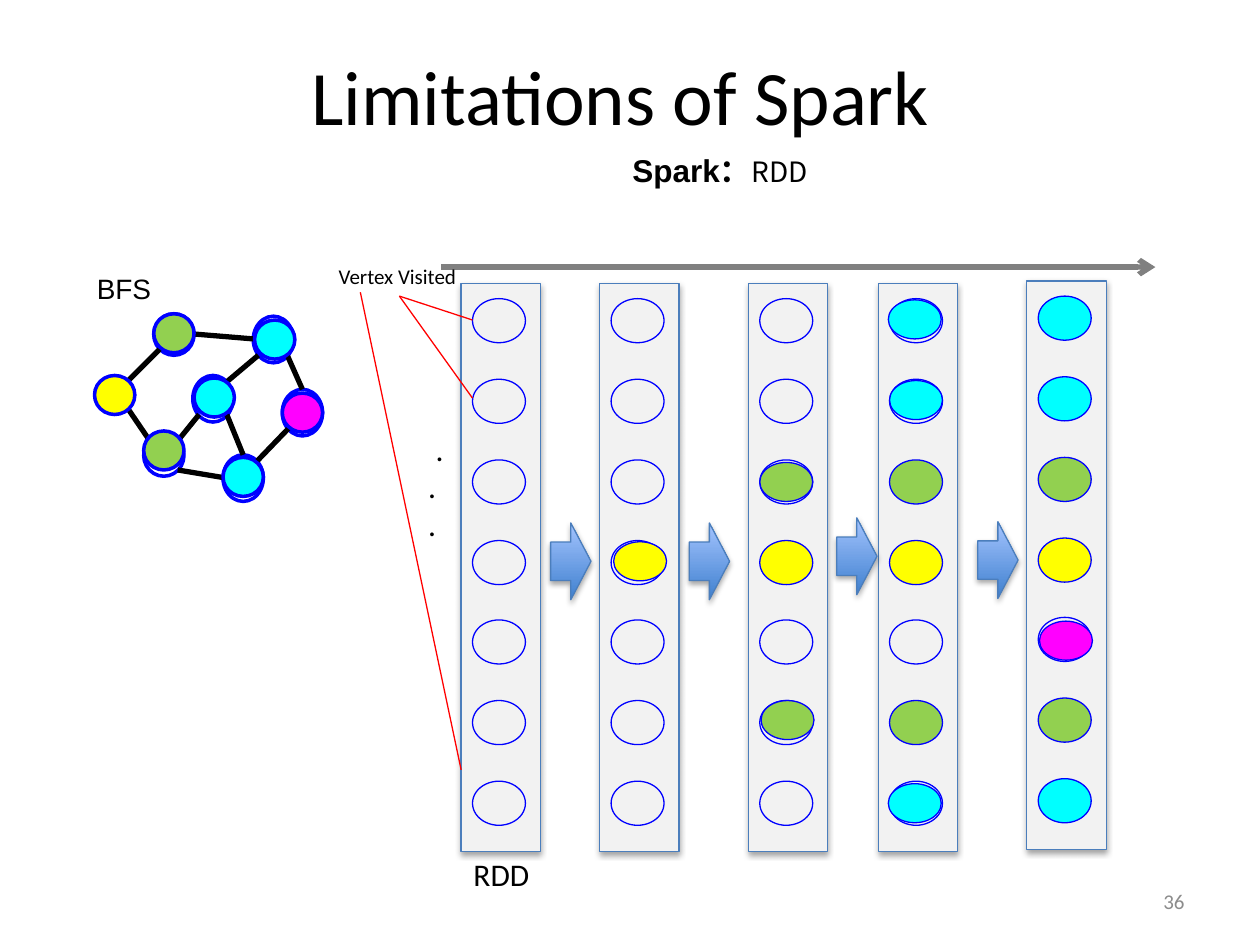
import lxml.etree
import pptx
import pptx.dml.color
import pptx.enum.shapes
import pptx.enum.text
import pptx.oxml
import pptx.oxml.ns
import pptx.util

PX = 9144  # EMU per px, 100 px to the inch
SHAPE = pptx.enum.shapes.MSO_SHAPE
ALIGN = pptx.enum.text.PP_ALIGN
ANCHOR = pptx.enum.text.MSO_ANCHOR
rgb = pptx.dml.color.RGBColor.from_string
qn = pptx.oxml.ns.qn


class Theme:
    black, gray, red, blue = "000000", "808080", "FF0000", "0000FF"
    panel, border, number = "F2F2F2", "4B7EBC", "8C8C8C"
    arrow_low, arrow_high = "3F80CE", "A4C4FF"
    vertex = {"Y": "FFFF00", "G": "92D050", "C": "00FFFF", "M": "FF00FF", ".": None}
    body, label, cjk = "Calibri", "Arial", "Noto Sans CJK SC"
    title_size, large, medium, small = 44, 18, 16, 12
    thin, ring, thick = 0.75, 2, 3


def write_text(sp, text, size, font=Theme.body, color=Theme.black, bold=False,
               align=ALIGN.LEFT, anchor=ANCHOR.TOP, wrap=True, new=True):
    """Write text in a shape; new=False continues its last paragraph."""
    tf = sp.text_frame
    tf.word_wrap = wrap
    tf.vertical_anchor = anchor
    if not wrap:
        tf.auto_size = pptx.enum.text.MSO_AUTO_SIZE.SHAPE_TO_FIT_TEXT
    for i, line in enumerate(text.split("\n")):
        p = tf.paragraphs[-1] if i == 0 else tf.add_paragraph()
        if new:
            p.alignment = align
        r = p.add_run()
        r.text = line
        r.font.size, r.font.name, r.font.bold = pptx.util.Pt(size), font, bold
        r.font.color.rgb = rgb(color)


def draw(shapes, kind, box, fill=None, line=Theme.blue, width=Theme.thin, raised=False):
    """Add a preset shape; raised gives it a soft shadow below."""
    sp = shapes.add_shape(kind, *[v * PX for v in box])
    sp.shadow.inherit = False
    if fill:
        sp.fill.solid()
        sp.fill.fore_color.rgb = rgb(fill)
    else:
        sp.fill.background()
    sp.line.color.rgb = rgb(line)
    sp.line.width = pptx.util.Pt(width)
    if raised:
        shadow = lxml.etree.SubElement(
            sp._element.spPr.find(qn("a:effectLst")), qn("a:outerShdw"),
            blurRad="40000", dist="23000", dir="5400000", rotWithShape="0")
        tint = lxml.etree.SubElement(shadow, qn("a:srgbClr"), val=Theme.black)
        lxml.etree.SubElement(tint, qn("a:alpha"), val="35000")
    return sp


prs = pptx.Presentation()
prs.slide_width, prs.slide_height = 1000 * PX, 750 * PX
slide = prs.slides.add_slide(prs.slide_layouts[5])
shapes = slide.shapes

# Title
title = shapes.title
title.left, title.top, title.width, title.height = [v * PX for v in (20, 29, 945, 93)]
write_text(title, "Limitations of Spark", Theme.title_size,
           align=ALIGN.CENTER, anchor=ANCHOR.MIDDLE)

# RDD columns: left, top, state of the seven vertices
columns = [
    (366, 225, "......."),
    (476, 225, "......."),
    (594, 225, "...Y..."),
    (697, 225, "..GY.G."),
    (815, 223, "CCGY.GC"),
]
for left, top, states in columns:
    group = shapes.add_group_shape().shapes
    draw(group, SHAPE.RECTANGLE, (left, top, 63, 451), Theme.panel, Theme.border, raised=True)
    for i, state in enumerate(states):
        y = top + 12 + round(i * 383 / 6)
        draw(group, SHAPE.OVAL, (left + 9, y, 42, 35), Theme.vertex[state])

# Vertices that change in each step
changed = [
    (487, 430, "Y"), (603, 367, "G"), (604, 556, "G"), (706, 302, "C"),
    (705, 238, "C"), (705, 622, "C"), (825, 493, "M"),
]
for x, y, state in changed:
    draw(shapes, SHAPE.OVAL, (x, y, 42, 31), Theme.vertex[state])

# Step arrows
for x, y in [(437, 415), (547, 415), (664, 411), (776, 414)]:
    sp = draw(shapes, SHAPE.RIGHT_ARROW, (x, y, 32, 61), line=Theme.border, raised=True)
    sp.fill.gradient()
    sp.fill.gradient_angle = 90
    for stop, color in zip(sp.fill.gradient_stops, (Theme.arrow_low, Theme.arrow_high)):
        stop.color.rgb = rgb(color)

# Graph rings, behind the edges
rings = [(122, 249, 33), (114, 345, 33), (201, 251, 37),
         (177, 361, 37), (224, 309, 37), (153, 298, 37)]
for x, y, height in rings:
    draw(shapes, SHAPE.OVAL, (x, y, 32, height), width=Theme.ring)

# Lines: time axis, graph edges, pointers to visited vertices
axis = [(350, 212, 917, 212)]
edges = [
    (102, 302, 127, 277), (201, 269, 153, 265), (102, 325, 119, 350),
    (141, 350, 158, 329), (180, 303, 205, 282), (193, 361, 180, 329),
    (141, 373, 177, 379), (240, 309, 228, 282), (204, 366, 229, 340),
]
pointers = [(317, 235, 375, 316), (317, 235, 375, 254), (286, 232, 366, 611)]
for lines, color, width in [(axis, Theme.gray, Theme.thick),
                            (edges, Theme.black, Theme.thick),
                            (pointers, Theme.red, Theme.thin)]:
    for ends in lines:
        cx = shapes.add_connector(pptx.enum.shapes.MSO_CONNECTOR.STRAIGHT,
                                  *[v * PX for v in ends])
        cx.line.color.rgb = rgb(color)
        cx.line.width = pptx.util.Pt(width)
        if lines is axis:
            lxml.etree.SubElement(cx.line._get_or_add_ln(), qn("a:tailEnd"), type="arrow")
        lxml.etree.SubElement(cx._element.spPr, qn("a:effectLst"))

# Graph vertices
nodes = [(75, 298, "Y"), (122, 249, "G"), (114, 342, "G"), (202, 254, "C"),
         (154, 300, "C"), (177, 363, "C"), (224, 312, "M")]
for x, y, state in nodes:
    draw(shapes, SHAPE.OVAL, (x, y, 32, 31), Theme.vertex[state], width=Theme.ring)

# Labels
labels = [
    ((492, 115, 315, 40), "Spark：", dict(size=Theme.large, font=Theme.label, bold=True)),
    ((67, 211, 203, 37), "BFS", dict(size=Theme.medium, font=Theme.label)),
    ((366, 674, 87, 40), "RDD", dict(size=Theme.large)),
    ((259, 204, 116, 30), "Vertex Visited", dict(size=Theme.small, wrap=False)),
    ((330, 336, 32, 101), ".\n.\n.", dict(size=Theme.large, wrap=False)),
    ((717, 695, 233, 40), "36", dict(size=Theme.small, color=Theme.number,
                                     align=ALIGN.RIGHT, anchor=ANCHOR.MIDDLE)),
]
boxes = {}
for box, text, style in labels:
    boxes[text] = shapes.add_textbox(*[v * PX for v in box])
    write_text(boxes[text], text, **style)
write_text(boxes["Spark："], "RDD", Theme.medium, font=Theme.cjk, new=False)

# The first dot stands slightly to the right
first = boxes[".\n.\n."].text_frame.paragraphs[0]
first._p.get_or_add_pPr().set("marL", str(6 * PX))

prs.save("out.pptx")
